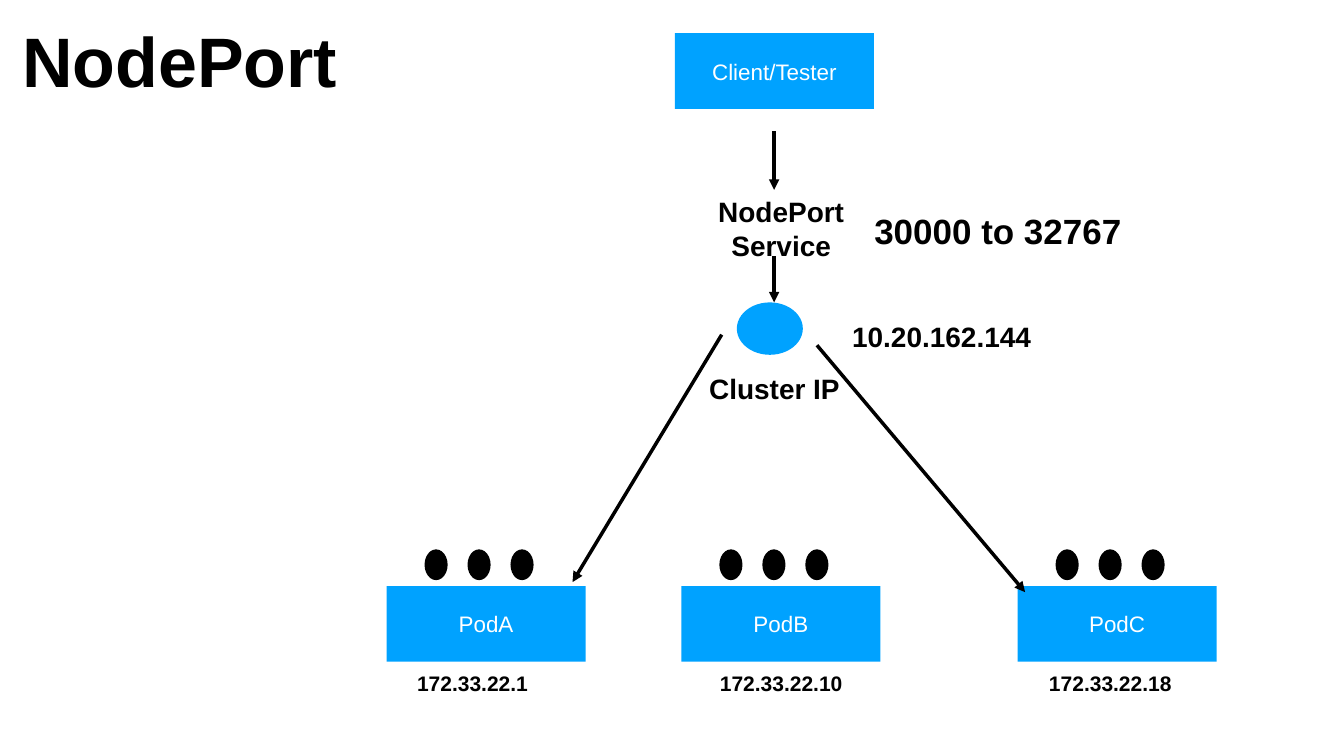
"""Build the NodePort slide: a client, the service, its cluster IP and three pods."""
import pptx
import pptx.dml.color
import pptx.enum.shapes
import pptx.enum.text
import pptx.oxml
import pptx.oxml.ns
import pptx.util

Pt = pptx.util.Pt
SHAPES = pptx.enum.shapes.MSO_SHAPE
COLORS = {"blue": "00A2FF", "black": "000000", "white": "FFFFFF"}
COLORS = {name: pptx.dml.color.RGBColor.from_string(value) for name, value in COLORS.items()}
BOX_WIDTH, BOX_HEIGHT = 284.4, 108
POD_TOP, DOT_TOP, IP_TOP = 837.4, 784.8, 953.3
DOT_OFFSET, DOT_STEP, DOT_WIDTH, DOT_HEIGHT = 54.3, 61.4, 33, 44

presentation = pptx.Presentation()
presentation.slide_width, presentation.slide_height = Pt(1920), Pt(1080)
slide = presentation.slides.add_slide(presentation.slide_layouts[5])


def write_text(shape, text, size, color="black", bold=True, margin=4):
    frame = shape.text_frame
    frame.text = text
    frame_format = {
        "word_wrap": not bold,
        "auto_size": pptx.enum.text.MSO_AUTO_SIZE.NONE,
        "vertical_anchor": pptx.enum.text.MSO_ANCHOR.MIDDLE,
        "margin_left": Pt(margin),
        "margin_right": Pt(margin),
        "margin_top": Pt(margin),
        "margin_bottom": Pt(margin),
    }
    for name, value in frame_format.items():
        setattr(frame, name, value)
    for paragraph in frame.paragraphs:
        paragraph.alignment = pptx.enum.text.PP_ALIGN.CENTER
        for name, value in {"name": "Arial", "size": Pt(size), "bold": bold}.items():
            setattr(paragraph.font, name, value)
        paragraph.font.color.rgb = COLORS[color]


def add_filled(kind, left, top, width, height, color="blue"):
    shape = slide.shapes.add_shape(kind, Pt(left), Pt(top), Pt(width), Pt(height))
    shape.shadow.inherit = False
    shape.fill.solid()
    shape.fill.fore_color.rgb = COLORS[color]
    shape.line.fill.background()
    return shape


title = slide.shapes.title
title_place = {"left": 24.5, "top": 20.2, "width": 464.4, "height": 128.2}
for name, value in title_place.items():
    setattr(title, name, Pt(value))
write_text(title, "NodePort", 100)

pod_lefts = {"PodA": 552.2, "PodB": 973.4, "PodC": 1453.7}
boxes = [(name, left, POD_TOP) for name, left in pod_lefts.items()]
boxes.append(("Client/Tester", 964.1, 47.5))
for name, left, top in boxes:
    box = add_filled(SHAPES.RECTANGLE, left, top, BOX_WIDTH, BOX_HEIGHT)
    write_text(box, name, 32, "white", bold=False, margin=0)

for left in pod_lefts.values():
    for index in range(3):
        dot_left = left + DOT_OFFSET + index * DOT_STEP
        add_filled(SHAPES.OVAL, dot_left, DOT_TOP, DOT_WIDTH, DOT_HEIGHT, "black")

add_filled(SHAPES.OVAL, 1052.6, 432, 94.3, 74.9)

labels = [
    ("172.33.22.1", 30, 591.1, IP_TOP, 167.8, 43.9),
    ("172.33.22.10", 30, 1023.8, IP_TOP, 184.3, 43.9),
    ("172.33.22.18", 30, 1494, IP_TOP, 184.3, 43.9),
    ("Cluster IP", 40, 1008, 526.3, 196.6, 56.2),
    ("NodePort\nService", 40, 1020.2, 273.6, 191.5, 105.1),
    ("30000 to 32767", 50, 1244.2, 295.2, 362.9, 67.7),
    ("10.20.162.144", 40, 1212.5, 452.2, 265, 56.2),
]
for text, size, *place in labels:
    label = slide.shapes.add_textbox(*map(Pt, place))
    write_text(label, text, size)

arrows = [
    (1105.9, 187.2, 1105.9, 271.4),
    (1105.9, 365.8, 1105.9, 432),
    (1031, 478.1, 817.9, 831.6),
    (1167.1, 493.2, 1464.5, 846),
]
for ends in arrows:
    arrow = slide.shapes.add_connector(pptx.enum.shapes.MSO_CONNECTOR.STRAIGHT, *map(Pt, ends))
    arrow.line.width = Pt(5)
    arrow.line.color.rgb = COLORS["black"]
    line = arrow.line._get_or_add_ln()
    line.append(pptx.oxml.parse_xml(f'<a:tailEnd {pptx.oxml.ns.nsdecls("a")} type="triangle"/>'))
    effects = pptx.oxml.parse_xml(f'<a:effectLst {pptx.oxml.ns.nsdecls("a")}/>')
    line.addnext(effects)

presentation.save("out.pptx")
